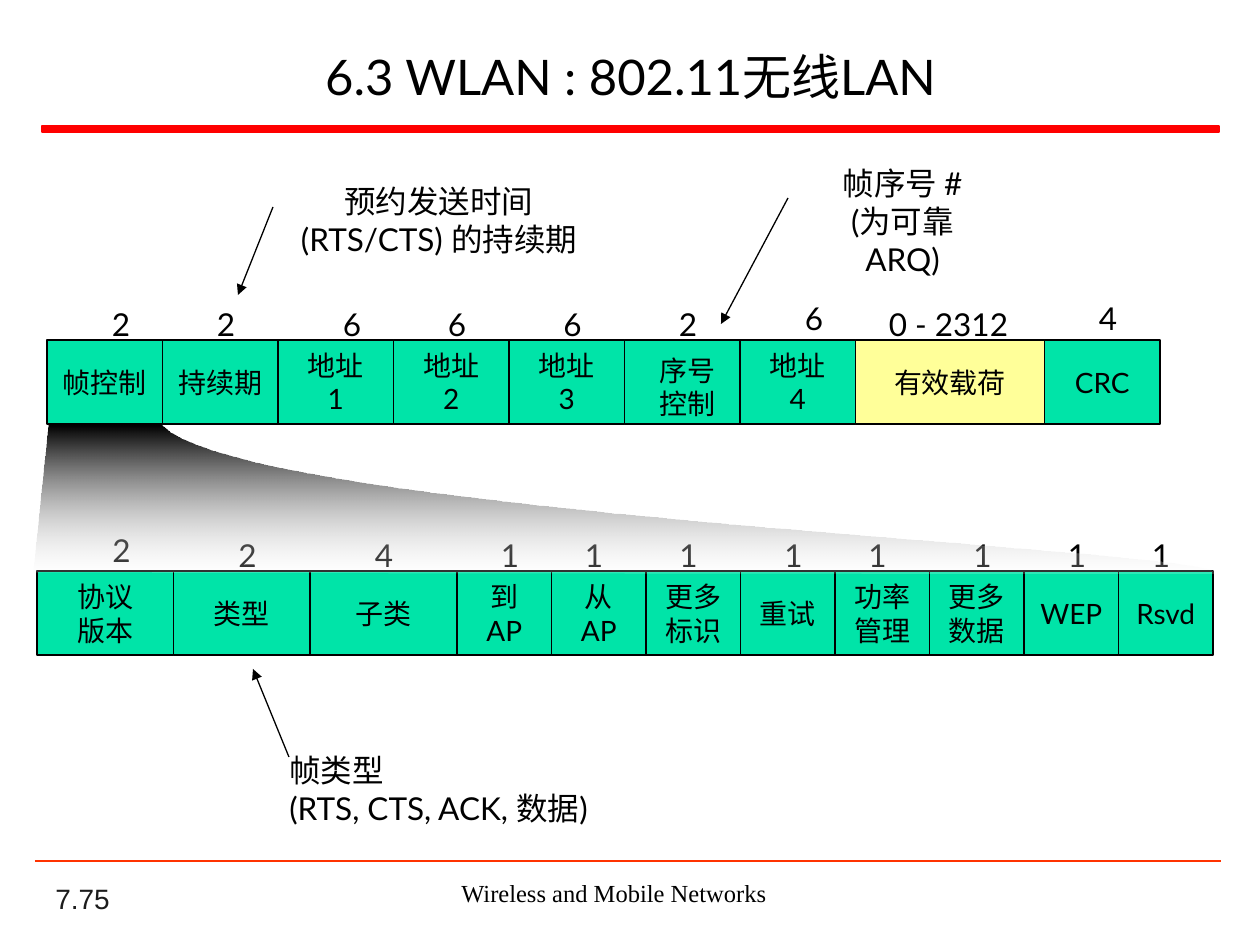
from pptx import Presentation
from pptx.dml.color import RGBColor
from pptx.enum.shapes import MSO_CONNECTOR, MSO_SHAPE
from pptx.enum.text import MSO_ANCHOR, PP_ALIGN
from pptx.oxml.ns import qn
from pptx.util import Pt
from lxml import etree

RECT = MSO_SHAPE.RECTANGLE
STRAIGHT = MSO_CONNECTOR.STRAIGHT
LEFT, CENTER = PP_ALIGN.LEFT, PP_ALIGN.CENTER
TOP, MIDDLE, BOTTOM = MSO_ANCHOR.TOP, MSO_ANCHOR.MIDDLE, MSO_ANCHOR.BOTTOM

C = {"black": "000000", "white": "FFFFFF", "green": "00E4A8", "yellow": "FFFF99",
     "red": "FF0000", "orange": "FF3300", "number": "1C1C1C"}

TITLE = "6.3 WLAN : 802.11无线LAN"

# name, width in units, length label, label offset in units, label rise in px, fill
FRAME = [
    ("帧控制", 11, "2", 5, 0, "green"),
    ("持续期", 11, "2", 4, 0, "green"),
    ("地址\n1", 11, "6", 5, 0, "green"),
    ("地址\n2", 11, "6", 4, 0, "green"),
    ("地址\n3", 11, "6", 4, 0, "green"),
    ("", 11, "2", 4, 0, "green"),
    ("地址\n4", 11, "6", 5, 6, "green"),
    ("有效载荷", 18, "0 - 2312", 2, 0, "yellow"),
    ("CRC", 11, "4", 4, 6, "green"),
]
CONTROL = [
    ("协议\n版本", 13, "2", 6, 5, "green"),
    ("类型", 13, "2", 5, 0, "green"),
    ("子类", 14, "4", 5, 0, "green"),
    ("到\nAP", 9, "1", 3, 0, "green"),
    ("从\nAP", 9, "1", 2, 0, "green"),
    ("更多\n标识", 9, "1", 2, 0, "green"),
    ("重试", 9, "1", 3, 0, "green"),
    ("功率\n管理", 9, "1", 2, 0, "green"),
    ("更多\n数据", 9, "1", 3, 0, "green"),
    ("WEP", 9, "1", 3, 0, "green"),
    ("Rsvd", 9, "1", 2, 0, "green"),
]
NOTES = [
    ("预约发送时间 (RTS/CTS) 的持续期", (270, 176, 338, 88), CENTER, True),
    ("帧序号 #\n(为可靠\vARQ)", (791, 158, 223, 126), CENTER, False),
    ("帧类型\n(RTS, CTS, ACK, 数据)", (277, 745, 339, 89), LEFT, False),
]
ARROWS = [((273, 207), (238, 295)), ((788, 198), (721, 324)), ((289, 757), (253, 669))]
FAN = [(49, 426), (34, 571), (1215, 573)]
FAN_CURVE = [(1215, 573), (1235, 548), (248, 515), (163, 426)]

SCALE = 914400 / 126
UNIT = 10.5
CELL_H, LABEL_GAP, LABEL_H, LABEL_W = 84, 41, 50, 43
CURVE_STEPS = 40


def px(n):
    return round(n * SCALE)


def box(rect):
    return [px(n) for n in rect]


def color(name):
    return RGBColor.from_string(C[name])


def write(sp, text, size=18, font="Lato", fill="black", align=LEFT, anchor=TOP, wrap=False):
    tf = sp.text_frame
    tf.text = text
    tf.word_wrap = wrap
    tf.vertical_anchor = anchor
    for p in tf.paragraphs:
        p.alignment = align
        for r in p.runs:
            r.font.size = Pt(size)
            r.font.name = font
            r.font.color.rgb = color(fill)


def add_text(s, text, rect, **fmt):
    write(s.shapes.add_textbox(*box(rect)), text, **fmt)


def add_rect(s, rect, fill, line, width):
    sp = s.shapes.add_shape(RECT, *box(rect))
    sp.shadow.inherit = False
    sp.fill.solid()
    sp.fill.fore_color.rgb = color(fill)
    sp.line.color.rgb = color(line)
    sp.line.width = Pt(width)
    return sp


def add_line(s, start, end, fill, width, arrow=False):
    cx = s.shapes.add_connector(STRAIGHT, *box(start + end))
    cx.line.color.rgb = color(fill)
    cx.line.width = Pt(width)
    if arrow:
        etree.SubElement(cx.line._get_or_add_ln(), qn("a:tailEnd"), type="triangle")
    etree.SubElement(cx._element.spPr, qn("a:effectLst"))


def add_row(s, fields, left, top):
    x = left
    for name, units, length, offset, rise, fill in fields:
        sp = add_rect(s, (x, top, units * UNIT, CELL_H), fill, "black", 0.75)
        if name:
            write(sp, name, size=16, align=CENTER, anchor=MIDDLE)
        w = LABEL_W if len(length) == 1 else 144
        add_text(s, length, (x + offset * UNIT, top - LABEL_GAP - rise, w, LABEL_H))
        x += units * UNIT


def curve_point(t):
    weights = ((1 - t) ** 3, 3 * t * (1 - t) ** 2, 3 * t * t * (1 - t), t ** 3)
    return tuple(sum(w * pt[i] for w, pt in zip(weights, FAN_CURVE)) for i in (0, 1))


def add_fan(s):
    points = FAN + [curve_point(i / CURVE_STEPS) for i in range(1, CURVE_STEPS + 1)]
    fb = s.shapes.build_freeform(*box(points[0]))
    fb.add_line_segments([box(pt) for pt in points[1:]], close=True)
    sp = fb.convert_to_shape()
    sp.shadow.inherit = False
    sp.line.fill.background()
    sp.fill.gradient()
    sp.fill.gradient_angle = 270
    for stop, name in zip(sp.fill.gradient_stops, ("black", "white")):
        stop.color.rgb = color(name)
    last = list(sp._element.spPr.iter(qn("a:srgbClr")))[-1]
    etree.SubElement(last, qn("a:alpha"), val="18000")


def main():
    prs = Presentation()
    prs.slide_width, prs.slide_height = px(1260), px(945)
    s = prs.slides.add_slide(prs.slide_layouts[5])

    title = s.shapes.title
    title.left, title.top, title.width, title.height = box((44, 32, 1173, 88))
    write(title, TITLE, size=28, align=CENTER, anchor=MIDDLE, wrap=True)

    add_rect(s, (42, 126, 1177, 6), "red", "red", 1)
    add_line(s, (35, 861), (1221, 861), "orange", 1.5)
    add_text(s, "7.75", (43, 879, 262, 42), size=16, font="Arial", fill="number",
             anchor=BOTTOM, wrap=True)
    add_text(s, "Wireless and Mobile Networks", (357, 872, 514, 43), size=14,
             font="Times New Roman", align=CENTER, wrap=True)

    add_row(s, FRAME, 47, 340)
    add_text(s, "序号\n控制", (646, 347, 82, 81), size=16, align=CENTER)
    add_row(s, CONTROL, 37, 571)
    add_fan(s)

    for text, rect, align, wrap in NOTES:
        add_text(s, text, rect, align=align, wrap=wrap)
    for start, end in ARROWS:
        add_line(s, start, end, "black", 0.75, arrow=True)

    prs.save("out.pptx")


if __name__ == "__main__":
    main()
